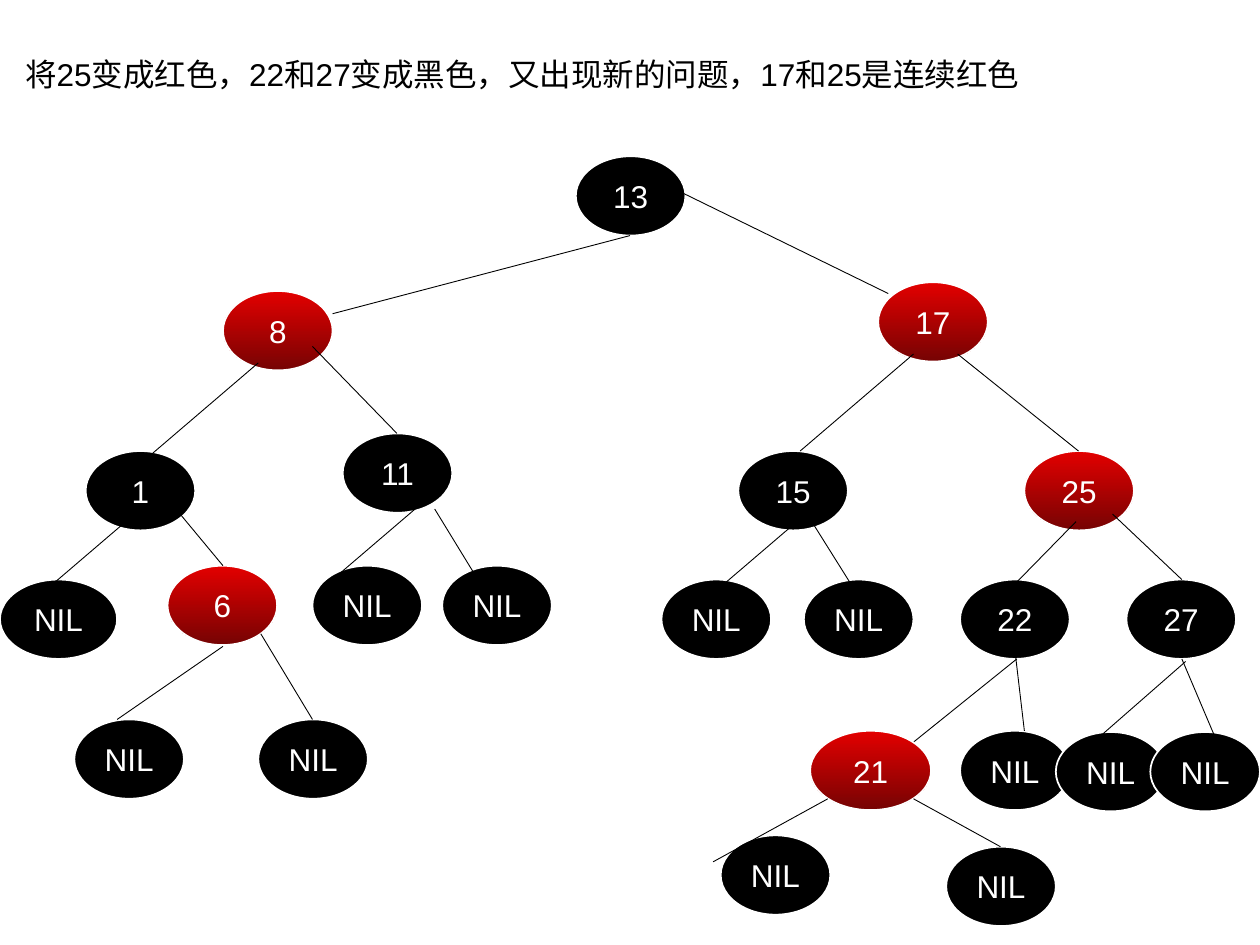
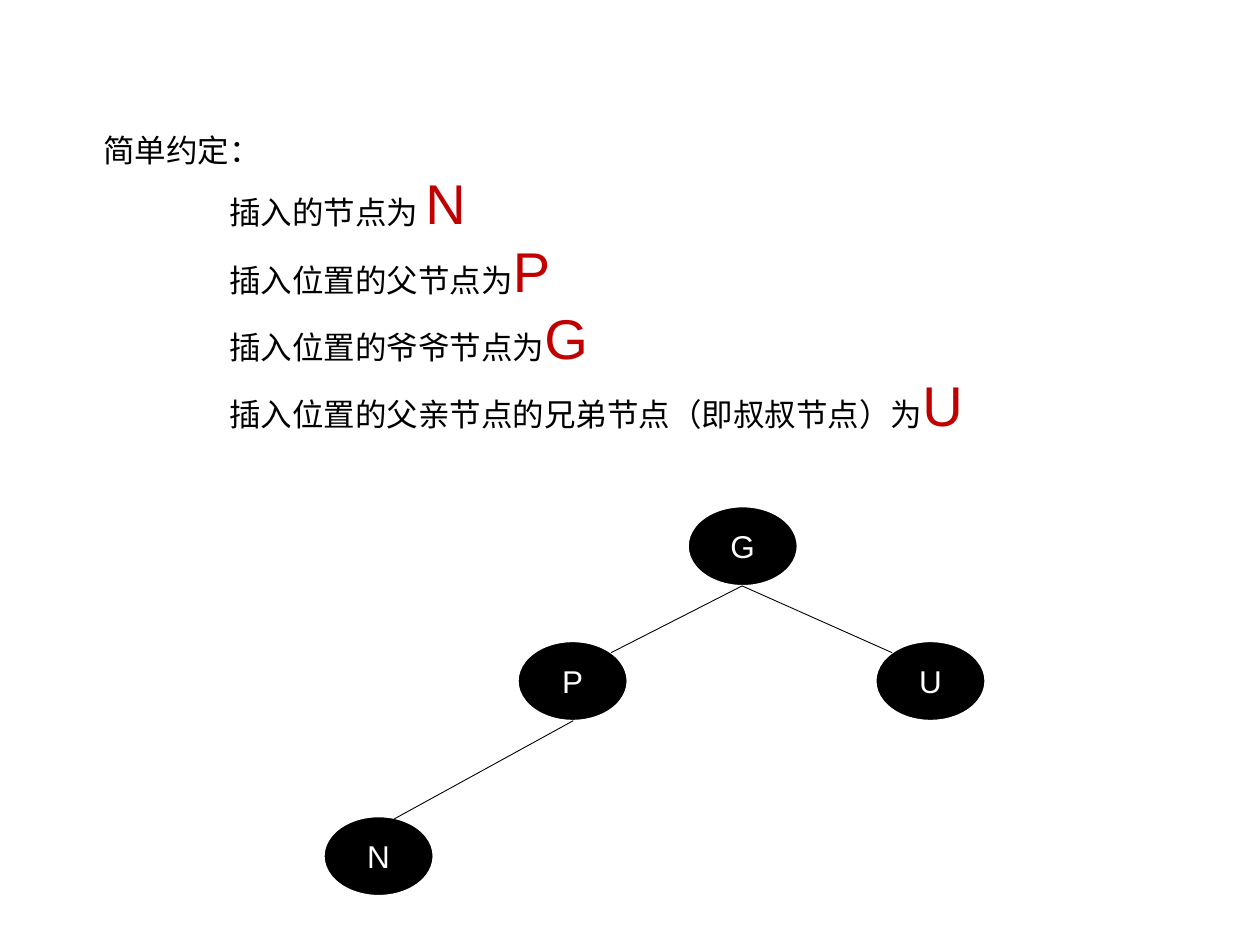
from dataclasses import dataclass

from lxml.etree import SubElement
from pptx import Presentation
from pptx.dml.color import RGBColor as Color
from pptx.enum.shapes import MSO_CONNECTOR as Connector, MSO_SHAPE as Preset
from pptx.enum.text import MSO_ANCHOR as Anchor, MSO_AUTO_SIZE as AutoSize, PP_ALIGN as Align
from pptx.oxml.ns import qn
from pptx.util import Emu, Pt

PX = 9144
SLIDE_SIZE = (1000, 750)
NODE_WIDTH, NODE_HEIGHT = 87, 63
LIST_INDENT = 100
TITLE_ONLY, TITLE_AND_CONTENT = 5, 1


def px(length):
    return Emu(length * PX)


@dataclass(frozen=True)
class Theme:
    font: str = "Arial"
    ink: Color = Color(0, 0, 0)
    paper: Color = Color(255, 255, 255)
    red_top: Color = Color(0xE3, 0x00, 0x00)
    red_bottom: Color = Color(0x76, 0x03, 0x03)
    accent: Color = Color(0xC0, 0x00, 0x00)
    text_size: Pt = Pt(18)
    letter_size: Pt = Pt(32)
    outline: Pt = Pt(1)
    edge: Pt = Pt(0.5)


class Deck:
    def __init__(self, theme):
        self.theme = theme
        self.presentation = Presentation()
        self.presentation.slide_width, self.presentation.slide_height = map(px, SLIDE_SIZE)
        self.slide = None

    def new_slide(self, layout):
        self.slide = self.presentation.slides.add_slide(self.presentation.slide_layouts[layout])

    def style(self, font, color, size=None):
        font.name = self.theme.font
        font.size = size or self.theme.text_size
        font.color.rgb = color

    def place(self, shape, left, top, width, height):
        shape.left, shape.top, shape.width, shape.height = map(px, (left, top, width, height))
        frame = shape.text_frame
        frame.auto_size = AutoSize.NONE
        frame.vertical_anchor = Anchor.TOP
        return frame

    def title(self, text, *box):
        frame = self.place(self.slide.shapes.title, *box)
        frame.word_wrap = False
        frame.text = text
        paragraph = frame.paragraphs[0]
        paragraph.alignment = Align.LEFT
        self.style(paragraph.font, self.theme.ink)

    def definitions(self, heading, items, *box):
        title = self.slide.shapes.title.element
        title.getparent().remove(title)
        frame = self.place(self.slide.placeholders[1], *box)
        frame.word_wrap = True
        for index, (text, letter) in enumerate([(heading, ""), *items]):
            paragraph = frame.paragraphs[0] if index == 0 else frame.add_paragraph()
            properties = paragraph._p.get_or_add_pPr()
            properties.set("marL", str(px(LIST_INDENT if letter else 0)))
            properties.set("indent", "0")
            paragraph.space_before = Pt(0)
            SubElement(properties, qn("a:buNone"))
            runs = [(text, self.theme.ink, self.theme.text_size)]
            if letter:
                runs.append((letter, self.theme.accent, self.theme.letter_size))
            for words, color, size in runs:
                run = paragraph.add_run()
                run.text = words
                self.style(run.font, color, size)

    def node(self, label, left, top, width=NODE_WIDTH, red=False):
        box = map(px, (left, top, width, NODE_HEIGHT))
        shape = self.slide.shapes.add_shape(Preset.OVAL, *box)
        shape.shadow.inherit = False
        if red:
            shape.fill.gradient()
            shape.fill.gradient_angle = 270
            stops = shape.fill.gradient_stops
            stops[0].color.rgb, stops[1].color.rgb = self.theme.red_top, self.theme.red_bottom
        else:
            shape.fill.solid()
            shape.fill.fore_color.rgb = self.theme.ink
        shape.line.color.rgb = self.theme.paper
        shape.line.width = self.theme.outline
        frame = shape.text_frame
        frame.text = label
        frame.vertical_anchor = Anchor.MIDDLE
        paragraph = frame.paragraphs[0]
        paragraph.alignment = Align.CENTER
        self.style(paragraph.font, self.theme.paper)

    def edge(self, *ends):
        connector = self.slide.shapes.add_connector(Connector.STRAIGHT, *map(px, ends))
        connector.line.color.rgb = self.theme.ink
        connector.line.width = self.theme.edge
        SubElement(connector._element.spPr, qn("a:effectLst"))

    def tree(self, nodes, edges, red_labels=()):
        for label, *place in nodes:
            self.node(label, *place, red=label in red_labels)
        for ends in edges:
            self.edge(*ends)


RED_LABELS = {"6", "8", "17", "21", "25"}
KEY_NODES = [
    ("13", 457, 124), ("8", 177, 231), ("17", 697, 224),
    ("1", 68, 358), ("11", 272, 344), ("15", 586, 358), ("25", 813, 358),
    ("6", 133, 449), ("22", 762, 460), ("27", 894, 460),
]
NIL_PLACES = [
    (0, 460, 93), (248, 449), (351, 449), (525, 460), (638, 460),
    (59, 571), (205, 571), (762, 580), (838, 581), (913, 581), (572, 663),
]
TREE_EDGES = [
    (500, 187, 264, 249), (705, 233, 525, 145),
    (725, 281, 635, 358), (856, 358, 760, 281),
    (205, 288, 115, 365), (315, 344, 248, 275),
    (101, 413, 11, 490), (177, 449, 133, 396),
    (354, 383, 264, 460), (386, 471, 345, 404),
    (177, 513, 93, 571), (248, 571, 207, 503),
    (650, 399, 560, 476), (680, 471, 638, 404),
    (854, 414, 807, 462), (938, 460, 883, 408),
    (807, 523, 725, 589), (813, 580, 805, 512),
    (941, 525, 861, 595), (966, 589, 938, 523),
]
INSERTED_NODES = [("21", 643, 580, 96), ("NIL", 751, 672)]
INSERTED_EDGES = [(657, 634, 566, 684), (794, 672, 725, 634)]

ROLES = [
    ("插入的节点为 ", "N"),
    ("插入位置的父节点为", "P"),
    ("插入位置的爷爷节点为", "G"),
    ("插入位置的父亲节点的兄弟节点（即叔叔节点）为", "U"),
]
ROLE_NODES = [("U", 695, 509), ("P", 411, 509), ("N", 257, 648), ("G", 546, 402)]
ROLE_EDGES = [(589, 465, 485, 518), (455, 572, 311, 651), (708, 518, 589, 465)]


def main():
    deck = Deck(Theme())

    deck.new_slide(TITLE_ONLY)
    deck.title("将25变成红色，22和27变成黑色，又出现新的问题，17和25是连续红色", 10, 39, 869, 40)
    nil_nodes = [("NIL", *place) for place in NIL_PLACES]
    deck.tree(KEY_NODES + nil_nodes, TREE_EDGES, RED_LABELS)
    deck.tree(INSERTED_NODES, INSERTED_EDGES, RED_LABELS)

    deck.new_slide(TITLE_AND_CONTENT)
    deck.definitions("简单约定：", ROLES, 72, 99, 822, 254)
    deck.tree(ROLE_NODES, ROLE_EDGES)

    deck.presentation.save("out.pptx")


if __name__ == "__main__":
    main()
